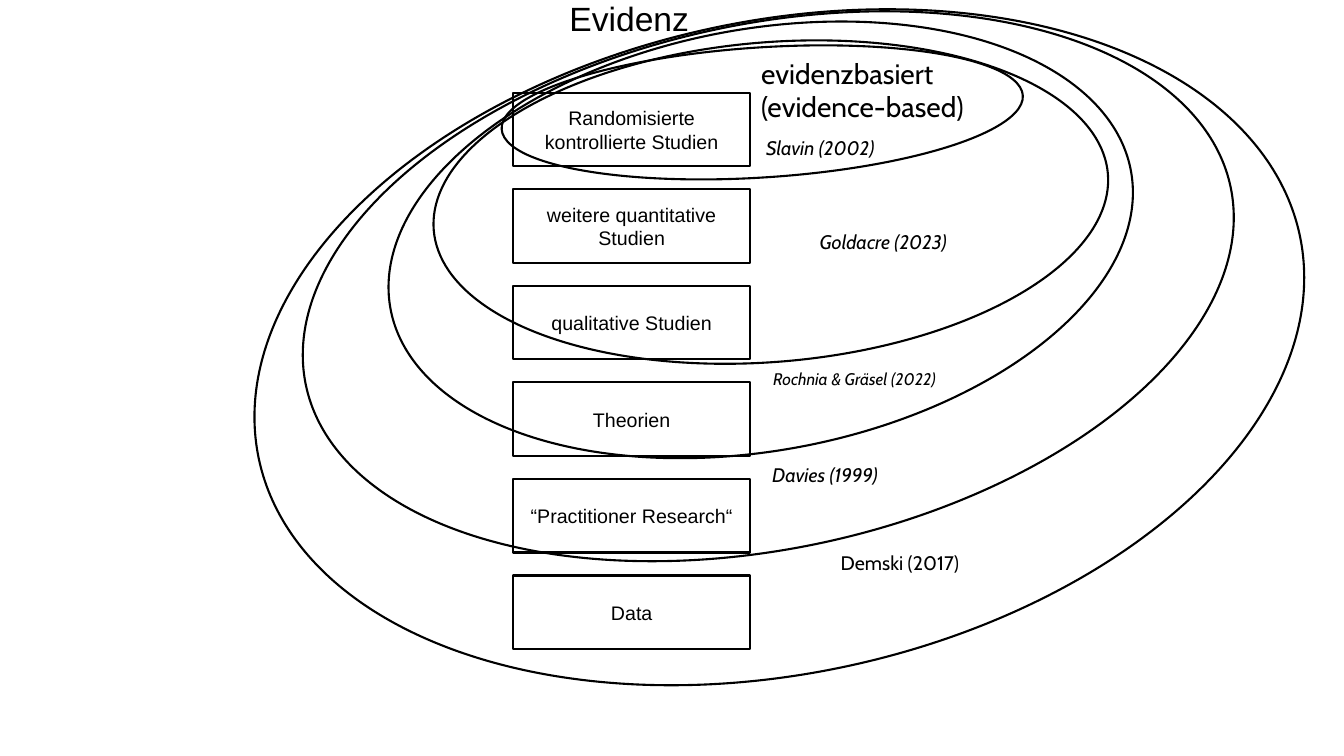
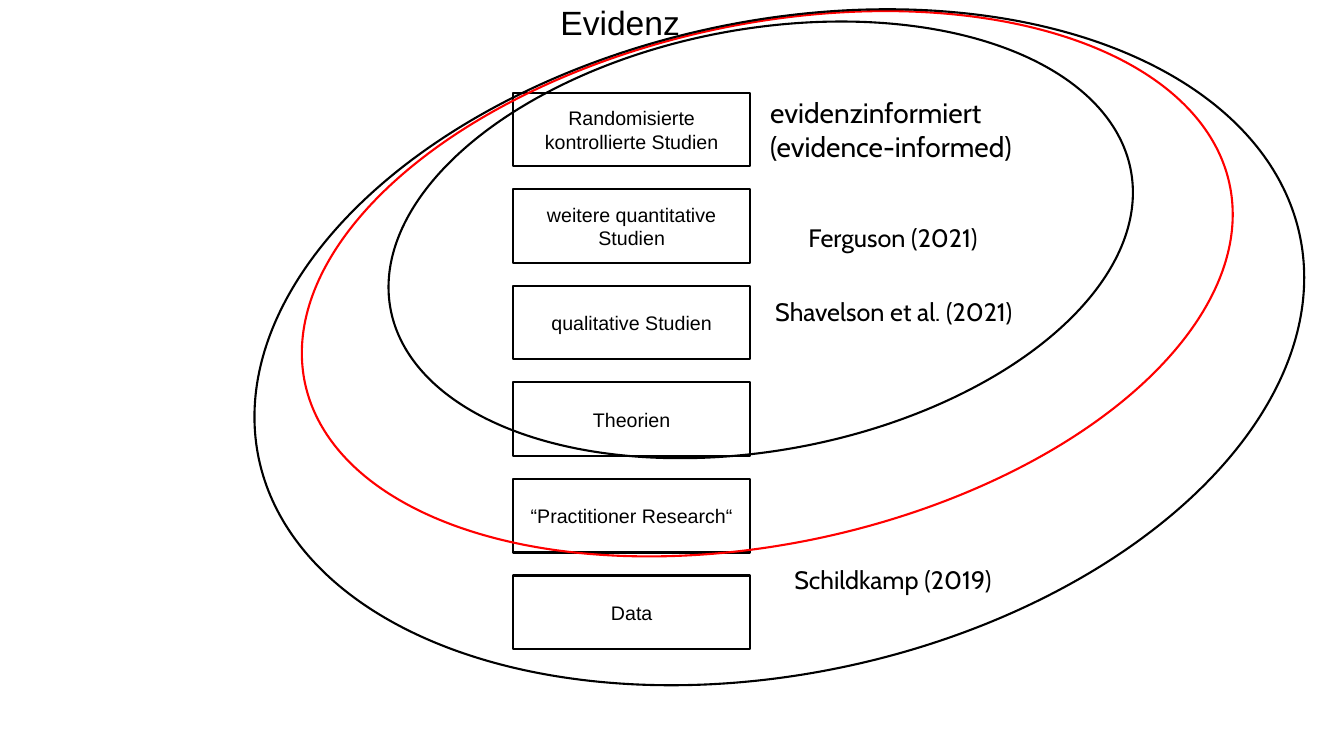
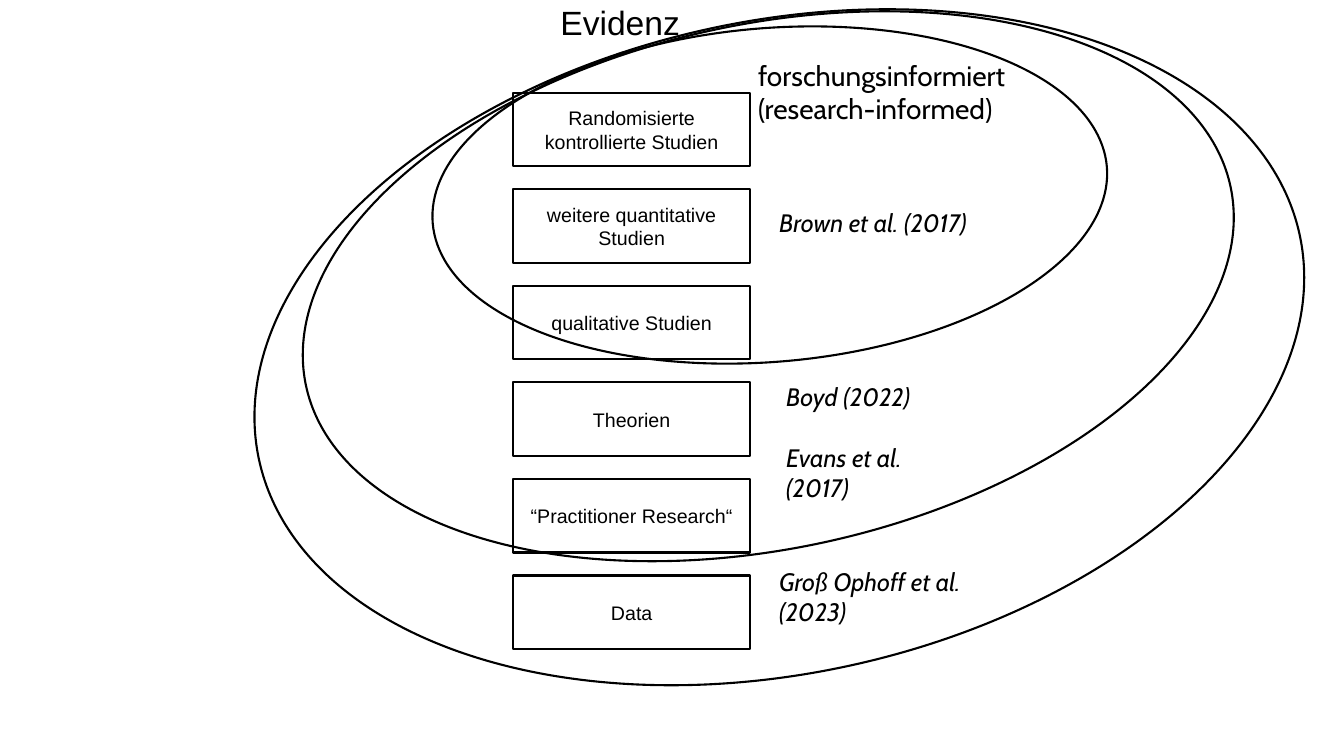
from pptx import Presentation
from pptx.dml.color import RGBColor
from pptx.enum.shapes import MSO_SHAPE as Shape
from pptx.enum.text import MSO_ANCHOR as Anchor, MSO_AUTO_SIZE as AutoSize, PP_ALIGN as Align
from pptx.util import Inches, Pt

COLORS = {"ink": "000000", "paper": "FFFFFF", "accent": "FF0000"}
LINE_WIDTH = 1.5

SOURCES = [
    "Randomisierte kontrollierte Studien",
    "weitere quantitative Studien",
    "qualitative Studien",
    "Theorien",
    "“Practitioner Research“",
    "Data",
]
BOX_LEFT, BOX_WIDTH, BOX_HEIGHT = 5.09, 2.35, 0.73
FIRST_TOP, LAST_TOP = 0.92, 5.71
BOX_STEP = (LAST_TOP - FIRST_TOP) / (len(SOURCES) - 1)

# Ellipses: left, top, width, height, rotation, line colour
DATA_RING = (2.45, 0.21, 10.56, 6.47, 347.8, "ink")
PRACTITIONER_RING = (2.93, 0.24, 9.38, 5.2, 347.8, "ink")
THEORY_RING = (3.81, 0.29, 7.47, 4.18, 349.4, "ink")

HEADING = {"size": 20}
CITATION = {"size": 18}
ITALIC = {"size": 18, "italic": True}
SMALL = {"size": 14}
SMALL_ITALIC = {"size": 14, "italic": True}
TINY_ITALIC = {"size": 12, "italic": True}

# Labels: left, top, width, height, wrap, lines, format
PAGES = [
    {
        "title_at": (5.55, -0.07),
        "rings": [
            (4.97, 0.47, 5.18, 1.29, 356.3, "ink"),
            PRACTITIONER_RING,
            DATA_RING,
            THEORY_RING,
            (4.29, 0.42, 6.71, 3.17, 355.2, "ink"),
        ],
        "labels": [
            (7.45, 0.51, 2.39, 0.77, False, ["evidenzbasiert", "(evidence-based)"], HEADING),
            (7.5, 1.3, 1.91, 0.34, True, ["Slavin (2002)"], SMALL_ITALIC),
            (8.03, 2.23, 1.56, 0.34, False, ["Goldacre (2023)"], SMALL_ITALIC),
            (7.57, 3.61, 1.95, 0.3, False, ["Rochnia & Gräsel (2022)"], TINY_ITALIC),
            (7.56, 4.54, 1.35, 0.34, False, ["Davies (1999)"], SMALL_ITALIC),
            (8.24, 5.42, 1.42, 0.34, False, ["Demski (2017)"], SMALL),
        ],
    },
    {
        "title_at": (5.46, -0.03),
        "rings": [
            (2.92, 0.24, 9.38, 5.15, 347.8, "accent"),
            DATA_RING,
            THEORY_RING,
        ],
        "labels": [
            (7.54, 0.9, 2.71, 0.77, False, ["evidenzinformiert", "(evidence-informed)"], HEADING),
            (7.92, 2.16, 1.95, 0.4, False, ["Ferguson (2021)"], CITATION),
            (7.59, 2.89, 2.65, 0.4, False, ["Shavelson et al. (2021)"], CITATION),
            (7.78, 5.55, 2.23, 0.4, False, ["Schildkamp (2019)"], CITATION),
        ],
    },
    {
        "title_at": (5.46, -0.03),
        "rings": [
            PRACTITIONER_RING,
            DATA_RING,
            (4.28, 0.28, 6.71, 3.31, 355.2, "ink"),
        ],
        "labels": [
            (7.42, 0.53, 2.74, 0.77, False, ["forschungsinformiert", "(research-informed)"], HEADING),
            (7.63, 2.01, 2.14, 0.71, True, ["Brown et al. (2017)"], ITALIC),
            (7.63, 5.57, 2.13, 0.71, True, ["Groß Ophoff et al. (2023)"], ITALIC),
            (7.7, 3.73, 1.66, 1.31, True, ["Boyd (2022)", "Evans et al. (2017)"],
             {"size": 18, "italic": True, "gap": 22}),
        ],
    },
]


def write_lines(frame, lines, size, name="Cabin", italic=False, gap=0, align=Align.LEFT):
    """Write one paragraph per line, with a gap in points between them."""
    for index, line in enumerate(lines):
        para = frame.paragraphs[0] if index == 0 else frame.add_paragraph()
        para.alignment = align
        if index and gap:
            para.space_before = Pt(gap)
        span = para.add_run()
        span.text = line
        for key, value in {"size": Pt(size), "name": name, "italic": italic}.items():
            setattr(span.font, key, value)
        span.font.color.rgb = RGBColor.from_string(COLORS["ink"])


def add_outline(page, kind, left, top, width, height, color="ink"):
    outline = page.shapes.add_shape(kind, Inches(left), Inches(top), Inches(width), Inches(height))
    outline.shadow.inherit = False
    outline.line.color.rgb = RGBColor.from_string(COLORS[color])
    outline.line.width = Pt(LINE_WIDTH)
    return outline


deck = Presentation()
deck.slide_width, deck.slide_height = Inches(13.33), Inches(7.5)

for content in PAGES:
    page = deck.slides.add_slide(deck.slide_layouts[6])

    for row, source in enumerate(SOURCES):
        box = add_outline(page, Shape.RECTANGLE, BOX_LEFT, FIRST_TOP + row * BOX_STEP,
                          BOX_WIDTH, BOX_HEIGHT)
        box.fill.solid()
        box.fill.fore_color.rgb = RGBColor.from_string(COLORS["paper"])
        box.text_frame.word_wrap = True
        box.text_frame.vertical_anchor = Anchor.MIDDLE
        write_lines(box.text_frame, [source], 14, name="Arial", align=Align.CENTER)

    for left, top, width, height, rotation, color in content["rings"]:
        ring = add_outline(page, Shape.OVAL, left, top, width, height, color)
        ring.fill.background()
        ring.rotation = rotation

    title = (*content["title_at"], 1.44, 0.5, True, ["Evidenz"], {"size": 24, "name": "Arial"})
    for left, top, width, height, wrap, lines, style in [title, *content["labels"]]:
        label = page.shapes.add_textbox(Inches(left), Inches(top), Inches(width), Inches(height))
        label.text_frame.word_wrap = wrap
        label.text_frame.auto_size = AutoSize.SHAPE_TO_FIT_TEXT
        write_lines(label.text_frame, lines, **style)

deck.save("out.pptx")
